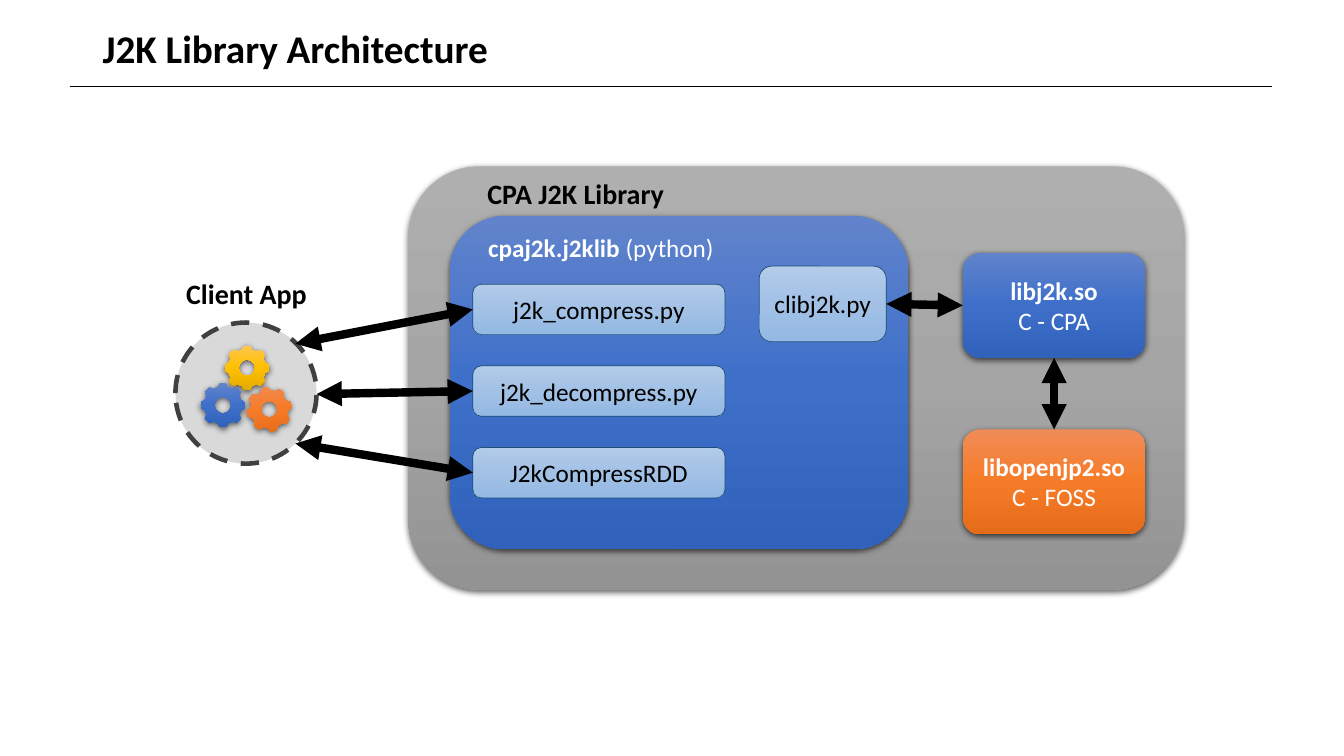
from dataclasses import dataclass
from math import cos, pi, radians, sin

from lxml import etree
from pptx import Presentation
from pptx.dml.color import RGBColor
from pptx.enum import dml, shapes, text
from pptx.oxml.ns import qn
from pptx.util import Inches, Pt

HUES = {"black": "000000", "white": "FFFFFF", "disc": "D9D9D9",
        "rim": "404040", "edge": "1F4E79"}
FADES = {
    "gray": ("AFAFAF", "A5A5A5", "939393"),
    "blue": ("6183CB", "3E70CA", "3062BB"),
    "orange": ("F18C57", "F67B28", "E56C19"),
    "gold": ("FFC64B", "FFC000", "E3AB00"),
    "sky": ("B1CBE9", "A3C1E5", "93B9E4"),
}
FONT = "Calibri"


@dataclass
class Run:
    words: str
    bold: bool = False


@dataclass
class Box:
    left: float
    top: float
    width: float
    height: float
    fade: str
    lines: tuple[Run, ...] = ()
    hue: str = "white"
    raised: bool = True


@dataclass
class Label:
    left: float
    top: float
    width: float
    height: float
    runs: tuple[Run, ...]
    size: int = 20
    hue: str = "black"


@dataclass
class Gear:
    x: float
    y: float
    fade: str
    tilt: float = 0


# Content
PANELS = (Box(4.05, 1.65, 7.69, 4.2, "gray"), Box(4.46, 2.14, 4.55, 3.31, "blue"))
NATIVE = Box(9.55, 2.51, 1.81, 1.04, "blue", (Run("libj2k.so", True), Run("C - CPA")))
CODEC = Box(9.55, 4.26, 1.81, 1.04, "orange",
            (Run("libopenjp2.so", True), Run("C - FOSS")))
BRIDGE = Box(7.53, 2.64, 1.26, 0.75, "sky", (Run("clibj2k.py"),), "black", False)
CALLS = [Box(4.69, 2.82 + 0.81 * row, 2.5, 0.5, "sky", (Run(name),), "black", False)
         for row, name in enumerate(
             ("j2k_compress.py", "j2k_decompress.py", "J2kCompressRDD"))]
LABELS = (
    Label(4.73, 2.26, 2.46, 0.4,
          (Run("cpaj2k.j2klib ", True), Run("(python)")), 18, "white"),
    Label(4.46, 1.7, 2.5, 0.44, (Run("CPA J2K Library", True),)),
    Label(1.74, 2.69, 1.41, 0.44, (Run("Client App", True),)),
)
GEARS = (Gear(2.45, 3.65, "gold"), Gear(2.21, 4.02, "blue"),
         Gear(2.67, 4.06, "orange", -5.8))
PORTS = ((2.93, 3.41), (3.14, 3.91), (2.93, 4.4))


def tint(name: str) -> RGBColor:
    return RGBColor.from_string(HUES[name])


def shade(shape, fade: str) -> None:
    """Fill a shape with three stops, light at the top."""
    shape.fill.gradient()
    shape.fill.gradient_angle = 270
    stops = shape._element.spPr.find(qn("a:gradFill")).find(qn("a:gsLst"))
    for stop in list(stops):
        stops.remove(stop)
    for step, color in enumerate(FADES[fade]):
        stop = etree.SubElement(stops, qn("a:gs"), pos=str(50000 * step))
        etree.SubElement(stop, qn("a:srgbClr"), val=color)


def lift(shape) -> None:
    """Drop a soft shadow below a shape."""
    shape.shadow.inherit = False
    glow = etree.SubElement(shape._element.spPr.find(qn("a:effectLst")),
                            qn("a:outerShdw"), blurRad=str(Pt(4.5)),
                            dist=str(Pt(1.5)), dir="5400000", rotWithShape="0")
    color = etree.SubElement(glow, qn("a:srgbClr"), val=HUES["black"])
    etree.SubElement(color, qn("a:alpha"), val="63000")


def write(para, run: Run, size: int, hue: str) -> None:
    part = para.add_run()
    part.text = run.words
    part.font.name, part.font.size, part.font.bold = FONT, Pt(size), run.bold
    part.font.color.rgb = tint(hue)


def draw_box(slide, box: Box):
    shape = slide.shapes.add_shape(
        shapes.MSO_SHAPE.ROUNDED_RECTANGLE, Inches(box.left), Inches(box.top),
        Inches(box.width), Inches(box.height))
    shade(shape, box.fade)
    if box.raised:
        shape.line.fill.background()
        lift(shape)
    else:
        shape.line.color.rgb = tint("edge")
        shape.line.width = Pt(0.5)
        shape.shadow.inherit = False
    frame = shape.text_frame
    frame.vertical_anchor = text.MSO_ANCHOR.MIDDLE
    for row, run in enumerate(box.lines):
        para = frame.add_paragraph() if row else frame.paragraphs[0]
        para.alignment = text.PP_ALIGN.CENTER
        write(para, run, 18, box.hue)
    return shape


def draw_label(slide, label: Label):
    frame = slide.shapes.add_textbox(
        Inches(label.left), Inches(label.top), Inches(label.width),
        Inches(label.height)).text_frame
    frame.word_wrap = False
    para = frame.paragraphs[0]
    para.alignment = text.PP_ALIGN.CENTER
    for run in label.runs:
        write(para, run, label.size, label.hue)
    return frame


def draw_gear(slide, gear: Gear) -> None:
    def spot(x: float, y: float, angle: float) -> tuple[int, int]:
        return (Inches(gear.x + x * cos(angle) - y * sin(angle)),
                Inches(gear.y + x * sin(angle) + y * cos(angle)))

    tooth = ((-0.05, -0.18), (-0.03, -0.22), (0.03, -0.22), (0.05, -0.18))
    rim = [spot(x, y, radians(gear.tilt) + n * pi / 4)
           for n in range(8) for x, y in tooth]
    hole = [spot(0, -0.08, -n * pi / 16) for n in range(32)]
    path = slide.shapes.build_freeform(*rim[0], scale=1.0)
    path.add_line_segments(rim[1:], close=True)
    path.move_to(*hole[0])
    path.add_line_segments(hole[1:], close=True)
    shape = path.convert_to_shape()
    shape.rotation = gear.tilt
    shade(shape, gear.fade)
    shape.line.fill.background()
    lift(shape)


def draw_line(slide, start: tuple, end: tuple, width: float, heads: bool = True):
    line = slide.shapes.add_connector(
        shapes.MSO_CONNECTOR.STRAIGHT, *map(Inches, start + end))
    line.line.color.rgb = tint("black")
    line.line.width = Pt(width)
    if heads:
        stroke = line.line._get_or_add_ln()
        for tag in ("a:headEnd", "a:tailEnd"):
            etree.SubElement(stroke, qn(tag), type="triangle")
    etree.SubElement(line._element.spPr, qn("a:effectLst"))
    return line


def main() -> None:
    deck = Presentation()
    deck.slide_width, deck.slide_height = Inches(13.33), Inches(7.5)
    slide = deck.slides.add_slide(deck.slide_layouts[6])

    # Title and rule
    draw_line(slide, (0.69, 0.86), (12.62, 0.86), 1, heads=False)
    title = draw_label(slide, Label(0.92, 0.15, 11.5, 0.71,
                                    (Run("J2K Library Architecture", True),), 28))
    title.word_wrap = True
    title.vertical_anchor = text.MSO_ANCHOR.MIDDLE
    title.paragraphs[0].alignment = text.PP_ALIGN.LEFT
    title.paragraphs[0].line_spacing = 0.9

    # Library boxes
    for panel in PANELS:
        draw_box(slide, panel)
    native, codec, bridge = (draw_box(slide, box) for box in (NATIVE, CODEC, BRIDGE))
    calls = [draw_box(slide, box) for box in CALLS]

    # Client disc with gears
    disc = slide.shapes.add_shape(shapes.MSO_SHAPE.OVAL, Inches(1.74), Inches(3.2),
                                  Inches(1.4), Inches(1.4))
    disc.fill.solid()
    disc.fill.fore_color.rgb = tint("disc")
    disc.line.color.rgb = tint("rim")
    disc.line.width = Pt(3.25)
    disc.line.dash_style = dml.MSO_LINE.DASH
    disc.shadow.inherit = False
    for gear in GEARS:
        draw_gear(slide, gear)

    # Arrows
    for first, side, last, face in ((bridge, 3, native, 1), (native, 2, codec, 0)):
        line = draw_line(slide, (0, 0), (1, 1), 6)
        line.begin_connect(first, side)
        line.end_connect(last, face)
    for port, call in zip(PORTS, calls):
        draw_line(slide, port, (4.69, port[1]), 6).end_connect(call, 1)

    # Labels
    for label in LABELS:
        draw_label(slide, label)

    deck.save("out.pptx")


if __name__ == "__main__":
    main()
